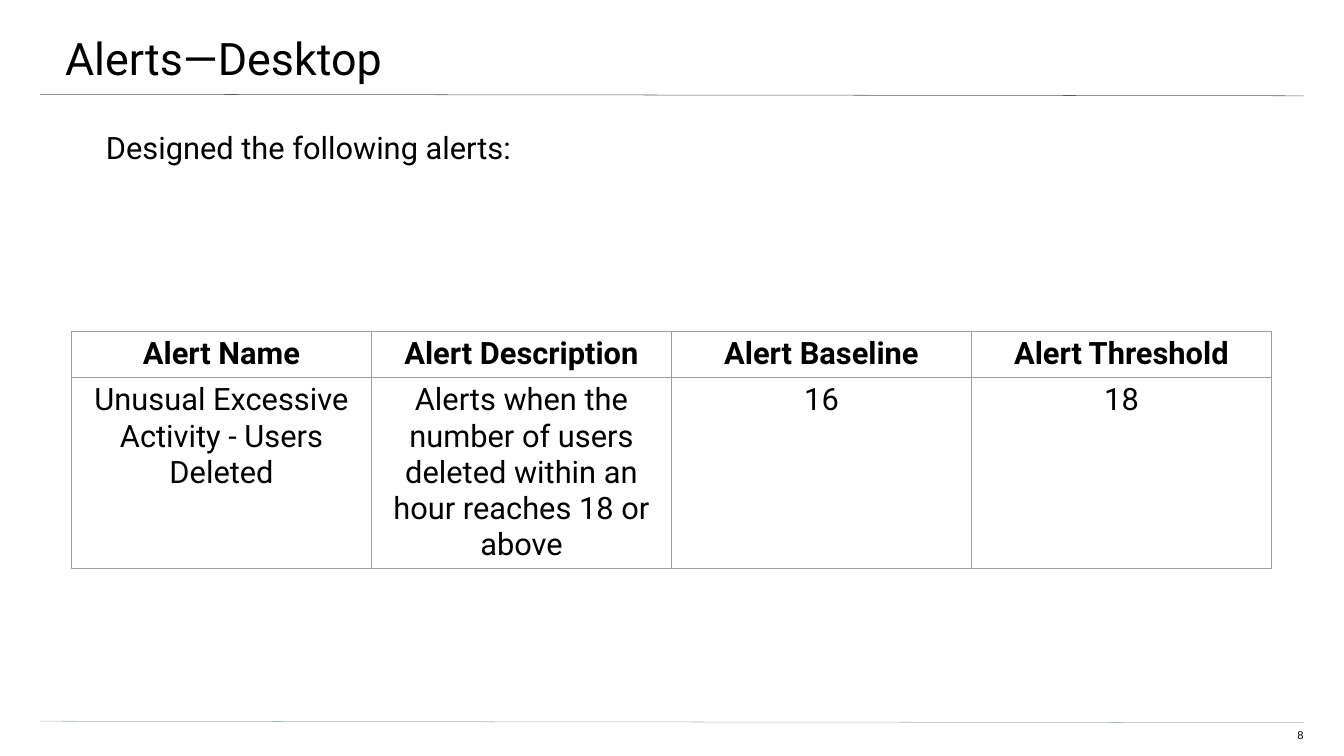
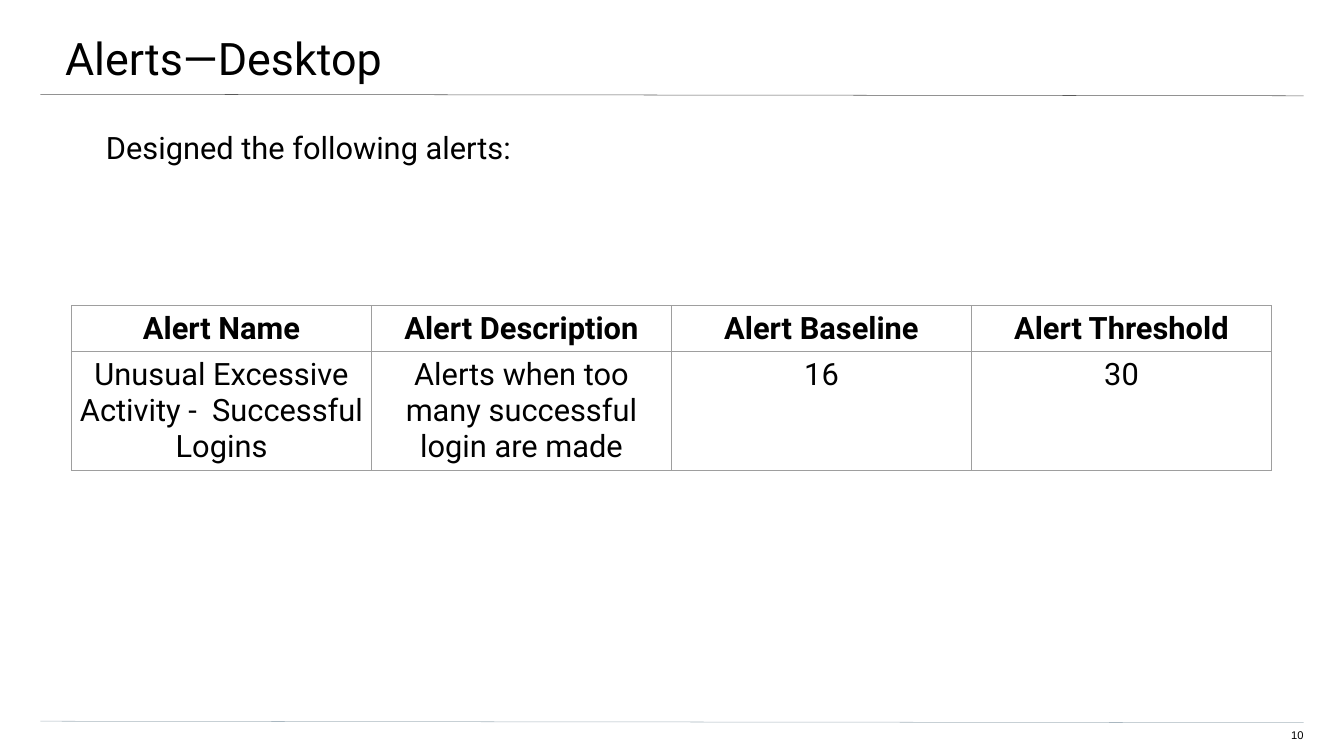
from dataclasses import dataclass

from lxml import etree
from pptx import Presentation
from pptx.dml.color import RGBColor
from pptx.enum.shapes import MSO_CONNECTOR
from pptx.enum.text import MSO_ANCHOR, MSO_AUTO_SIZE, PP_ALIGN
from pptx.oxml.ns import qn
from pptx.util import Inches, Pt

STRAIGHT = MSO_CONNECTOR.STRAIGHT
TOP = MSO_ANCHOR.TOP
NO_AUTOFIT = MSO_AUTO_SIZE.NONE
LEFT, CENTER, RIGHT = PP_ALIGN.LEFT, PP_ALIGN.CENTER, PP_ALIGN.RIGHT
TITLE_ONLY = 5


@dataclass(frozen=True)
class Theme:
    background: str = "FFFFFF"
    text: str = "000000"
    title_rule: str = "595959"
    footer_rule: str = "A9B7C0"
    table_border: str = "9E9E9E"
    font: str = "Roboto"
    number_font: str = "Arial"
    title_size: int = 64
    body_size: int = 44
    number_size: int = 16
    line_width: float = 0.75
    line_spacing: float = 1.07


class Deck:
    GRID = 100
    CELL_PADDING = 0.1
    TEXT_LINE = 4.77

    def __init__(self, theme):
        self.theme = theme
        self.presentation = Presentation()
        self.presentation.slide_width = Inches(26.66)
        self.presentation.slide_height = Inches(15)
        self.slide = None

    def column(self, count):
        return round(self.presentation.slide_width * count / self.GRID)

    def row(self, count):
        return round(self.presentation.slide_height * count / self.GRID)

    def box(self, left, top, width, height):
        return self.column(left), self.row(top), self.column(width), self.row(height)

    def add_slide(self, title, number):
        layout = self.presentation.slide_layouts[TITLE_ONLY]
        self.slide = self.presentation.slides.add_slide(layout)
        fill = self.slide.background.fill
        fill.solid()
        fill.fore_color.rgb = RGBColor.from_string(self.theme.background)
        self.rule(12.47, self.theme.title_rule)
        self.rule(95.4, self.theme.footer_rule)
        self.title(title)
        self.slide_number(number)

    def rule(self, top, color):
        line = self.slide.shapes.add_connector(
            STRAIGHT, self.column(3), self.row(top), self.column(97), self.row(top + 0.2))
        line.line.color.rgb = RGBColor.from_string(color)
        line.line.width = Pt(self.theme.line_width)
        etree.SubElement(line._element.spPr, qn("a:effectLst"))

    def set_text(self, text_frame, text, size, font=None, align=LEFT, bold=False, spacing=1.0):
        text_frame.text = text
        for paragraph in text_frame.paragraphs:
            paragraph.alignment = align
            paragraph.line_spacing = spacing
            for run in paragraph.runs:
                run.font.name = font or self.theme.font
                run.font.size = Pt(size)
                run.font.bold = bold
                run.font.color.rgb = RGBColor.from_string(self.theme.text)

    def frame(self, shape, insets):
        text_frame = shape.text_frame
        text_frame.word_wrap = True
        text_frame.auto_size = NO_AUTOFIT
        text_frame.vertical_anchor = TOP
        (text_frame.margin_left, text_frame.margin_top,
         text_frame.margin_right, text_frame.margin_bottom) = map(Inches, insets)
        return text_frame

    def title(self, text):
        shape = self.slide.shapes.title
        shape.left, shape.top, shape.width, shape.height = self.box(-0.15, 0, 100.26, 10.4)
        text_frame = self.frame(shape, (1.33, 0.53, 0.8, 0.27))
        self.set_text(text_frame, text, self.theme.title_size, spacing=self.theme.line_spacing)

    def slide_number(self, number):
        shape = self.slide.shapes.add_textbox(*self.box(94.15, 96.4, 2.85, 2.07))
        text_frame = self.frame(shape, (0, 0, 0, 0.27))
        self.set_text(text_frame, str(number), self.theme.number_size,
                      self.theme.number_font, RIGHT)

    def body(self, text):
        shape = self.slide.shapes.add_textbox(*self.box(2.89, 16.73, 94.11, 71.93))
        text_frame = self.frame(shape, (1.33, 0, 1.33, 2.67))
        self.set_text(text_frame, text, self.theme.body_size, spacing=self.theme.line_spacing)

    def table(self, top, rows, line_counts):
        padding = 2 * self.CELL_PADDING / 15 * self.GRID
        heights = [count * self.TEXT_LINE + padding for count in line_counts]
        table = self.slide.shapes.add_table(
            len(rows), len(rows[0]), *self.box(5.33, top, 89.28, sum(heights))).table
        table.first_row = False
        table.horz_banding = False
        for table_row, height in zip(table.rows, heights):
            table_row.height = self.row(height)
        for row_index, values in enumerate(rows):
            for column_index, value in enumerate(values):
                self.cell(table.cell(row_index, column_index), value, row_index == 0)

    def cell(self, cell, text, bold):
        cell.margin_left = cell.margin_right = Inches(self.CELL_PADDING)
        cell.margin_top = cell.margin_bottom = Inches(self.CELL_PADDING)
        cell.vertical_anchor = TOP
        properties = cell._tc.get_or_add_tcPr()
        for side in ("a:lnL", "a:lnR", "a:lnT", "a:lnB"):
            border = etree.SubElement(
                properties, qn(side), w=str(Pt(self.theme.line_width)))
            fill = etree.SubElement(border, qn("a:solidFill"))
            etree.SubElement(fill, qn("a:srgbClr"), val=self.theme.table_border)
        cell.fill.background()
        self.set_text(cell.text_frame, text, self.theme.body_size, align=CENTER, bold=bold)


HEADINGS = ("Alert Name", "Alert Description", "Alert Baseline", "Alert Threshold")
ALERTS = (
    (8, 43.8, 5, ("Unusual Excessive Activity - Users Deleted",
                  "Alerts when the number of users deleted within an hour reaches 18 or above",
                  "16", "18")),
    (10, 40.4, 3, ("Unusual Excessive Activity -  Successful Logins",
                   "Alerts when too many successful login are made",
                   "16", "30")),
)


def main():
    deck = Deck(Theme())
    for number, table_top, line_count, alert in ALERTS:
        deck.add_slide("Alerts—Desktop", number)
        deck.body("Designed the following alerts:")
        deck.table(table_top, (HEADINGS, alert), (1, line_count))
    deck.presentation.save("out.pptx")


if __name__ == "__main__":
    main()
